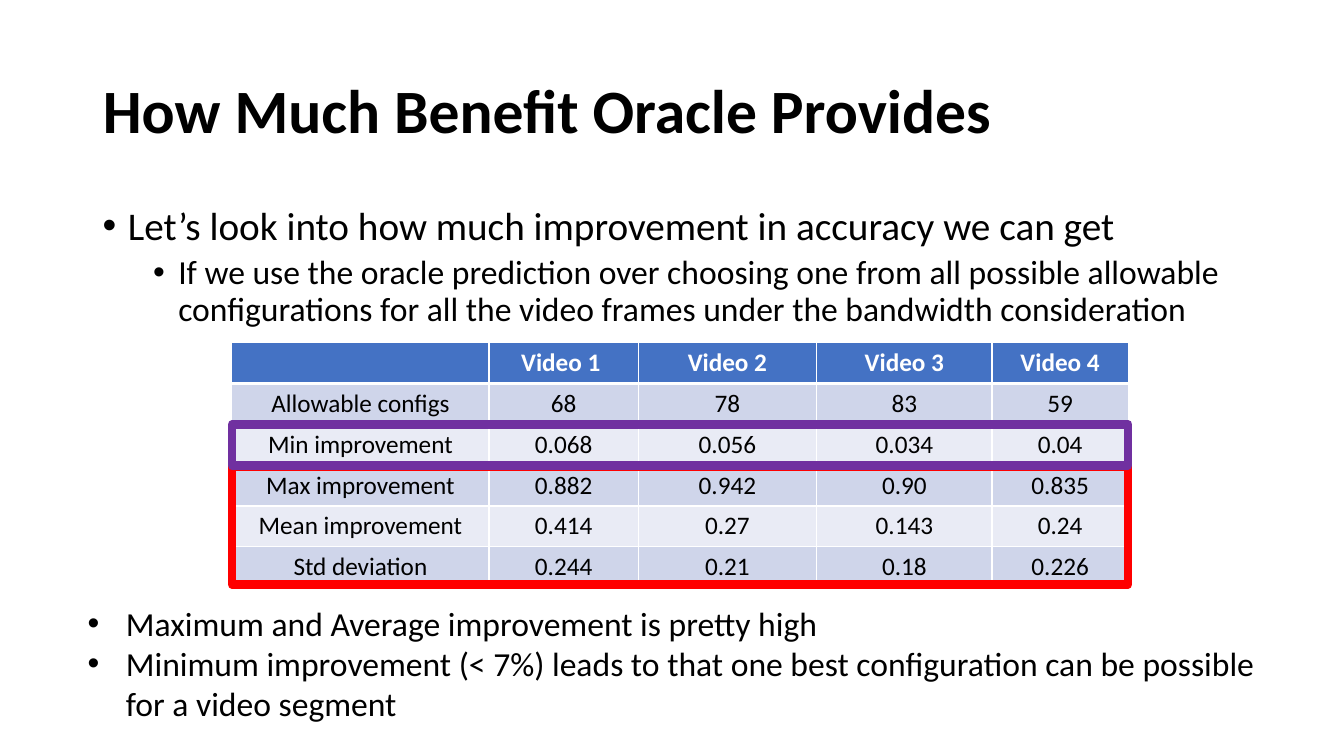
"""Build the slide on how much benefit the oracle provides."""
from dataclasses import dataclass

import pptx
import pptx.dml.color
import pptx.enum.shapes
import pptx.enum.text
import pptx.oxml
import pptx.oxml.ns
import pptx.util

Inches = pptx.util.Inches
Pt = pptx.util.Pt
MIDDLE = pptx.enum.text.MSO_ANCHOR.MIDDLE
LEFT = pptx.enum.text.PP_ALIGN.LEFT
CENTER = pptx.enum.text.PP_ALIGN.CENTER
NO_FIT = pptx.enum.text.MSO_AUTO_SIZE.NONE

TABLE_LEFT, TABLE_TOP, ROW_HEIGHT = 2.3, 3.4, 0.405
COLUMN_WIDTHS = [2.55, 1.48, 1.77, 1.74, 1.35]
TABLE_WIDTH = sum(COLUMN_WIDTHS)
ROWS = [
    ["", "Video 1 ", "Video 2", "Video 3", "Video 4"],
    ["Allowable configs", "68", "78", "83", "59"],
    ["Min improvement", "0.068", "0.056", "0.034", "0.04"],
    ["Max improvement", "0.882", "0.942", "0.90", "0.835"],
    ["Mean improvement", "0.414", "0.27", "0.143", "0.24"],
    ["Std deviation", "0.244", "0.21", "0.18", "0.226"],
]
HEADER_FILL, BAND_FILLS = "4472C4", ["E9EBF5", "CFD5EA"]


@dataclass
class Bullet:
    text: str
    size: int
    margin: float
    hang: float
    level: int = 0
    format: dict | None = None


@dataclass
class BulletBox:
    left: float
    top: float
    width: float
    height: float
    bullets: list[Bullet]


@dataclass
class Highlight:
    top: float
    height: float
    color: str


BOXES = [
    BulletBox(0.92, 2, 11.5, 1.35, [
        Bullet("Let’s look into how much improvement in accuracy we can get",
               28, 0.25, 0.25, format={"line_spacing": 0.9}),
        Bullet("If we use the oracle prediction over choosing one from all possible "
               "allowable configurations for all the video frames under the "
               "bandwidth consideration", 24, 0.75, 0.25, 1,
               {"line_spacing": 0.9, "space_before": Pt(5)}),
    ]),
    BulletBox(0.77, 5.93, 12.18, 1.31, [
        Bullet("Maximum and Average improvement is pretty high", 24, 0.38, 0.38),
        Bullet("Minimum improvement (< 7%) leads to that one best configuration "
               "can be possible for a video segment", 24, 0.38, 0.38),
    ]),
]
HIGHLIGHTS = [Highlight(4.63, 1.17, "FF0000"), Highlight(4.21, 0.41, "7030A0")]


def rgb(value: str) -> pptx.dml.color.RGBColor:
    return pptx.dml.color.RGBColor.from_string(value)


def apply(target, values: dict) -> None:
    for name, value in values.items():
        setattr(target, name, value)


def format_font(font, size: int, color: str = "000000", bold: bool = False) -> None:
    apply(font, {"name": "Calibri", "size": Pt(size), "bold": bold})
    font.color.rgb = rgb(color)


def add_element(parent, tag: str, inner: str = "", **attributes: str):
    ns = pptx.oxml.ns.nsdecls("a")
    attrs = " ".join(f'{name}="{value}"' for name, value in attributes.items())
    parent.append(pptx.oxml.parse_xml(f"<a:{tag} {ns} {attrs}>{inner}</a:{tag}>"))


def add_title(slide, text: str) -> None:
    sp = slide.shapes.title
    apply(sp, {"left": Inches(0.92), "top": Inches(0.4),
               "width": Inches(11.5), "height": Inches(1.45)})
    tf = sp.text_frame
    apply(tf, {"text": text, "vertical_anchor": MIDDLE, "auto_size": NO_FIT})
    p = tf.paragraphs[0]
    apply(p, {"alignment": LEFT, "line_spacing": 0.9})
    format_font(p.runs[0].font, 44, bold=True)


def add_bullets(slide, box: BulletBox) -> None:
    sp = slide.shapes.add_textbox(Inches(box.left), Inches(box.top),
                                  Inches(box.width), Inches(box.height))
    tf = sp.text_frame
    tf.word_wrap = True
    for i, bullet in enumerate(box.bullets):
        p = tf.add_paragraph() if i else tf.paragraphs[0]
        pPr = p._p.get_or_add_pPr()
        pPr.set("marL", str(Inches(bullet.margin)))
        pPr.set("indent", str(-Inches(bullet.hang)))
        add_element(pPr, "buFont", typeface="Arial")
        add_element(pPr, "buChar", char="•")
        apply(p, {"level": bullet.level, **(bullet.format or {})})
        r = p.add_run()
        r.text = bullet.text
        format_font(r.font, bullet.size)


def format_cell(cell, text: str, row: int) -> None:
    line = '<a:solidFill><a:srgbClr val="FFFFFF"/></a:solidFill>'
    tcPr = cell._tc.get_or_add_tcPr()
    for side in "LRTB":
        thick = (row, side) in [(0, "B"), (1, "T")]
        add_element(tcPr, f"ln{side}", line, w=str(Pt(3 if thick else 1)))
    cell.fill.solid()
    cell.fill.fore_color.rgb = rgb(BAND_FILLS[row % 2] if row else HEADER_FILL)
    cell.text = text
    p = cell.text_frame.paragraphs[0]
    p.alignment = CENTER
    format_font(p.font, 18)
    for r in p.runs:
        format_font(r.font, 18, "000000" if row else "FFFFFF", row == 0)


def add_results(slide) -> None:
    table = slide.shapes.add_table(
        len(ROWS), len(COLUMN_WIDTHS), Inches(TABLE_LEFT), Inches(TABLE_TOP),
        Inches(TABLE_WIDTH), Inches(ROW_HEIGHT * len(ROWS))).table
    for column, width in zip(table.columns, COLUMN_WIDTHS):
        column.width = Inches(width)
    for i, texts in enumerate(ROWS):
        for j, text in enumerate(texts):
            format_cell(table.cell(i, j), text, i)


def add_highlight(slide, highlight: Highlight) -> None:
    sp = slide.shapes.add_shape(
        pptx.enum.shapes.MSO_SHAPE.RECTANGLE, Inches(TABLE_LEFT),
        Inches(highlight.top), Inches(TABLE_WIDTH), Inches(highlight.height))
    sp.shadow.inherit = False
    sp.fill.background()
    sp.line.color.rgb = rgb(highlight.color)
    sp.line.width = Pt(6)


def main() -> None:
    prs = pptx.Presentation()
    apply(prs, {"slide_width": Inches(13.33), "slide_height": Inches(7.5)})
    slide = prs.slides.add_slide(prs.slide_layouts[5])
    add_title(slide, "How Much Benefit Oracle Provides")
    for box in BOXES:
        add_bullets(slide, box)
    add_results(slide)
    for highlight in HIGHLIGHTS:
        add_highlight(slide, highlight)
    prs.save("out.pptx")


if __name__ == "__main__":
    main()
